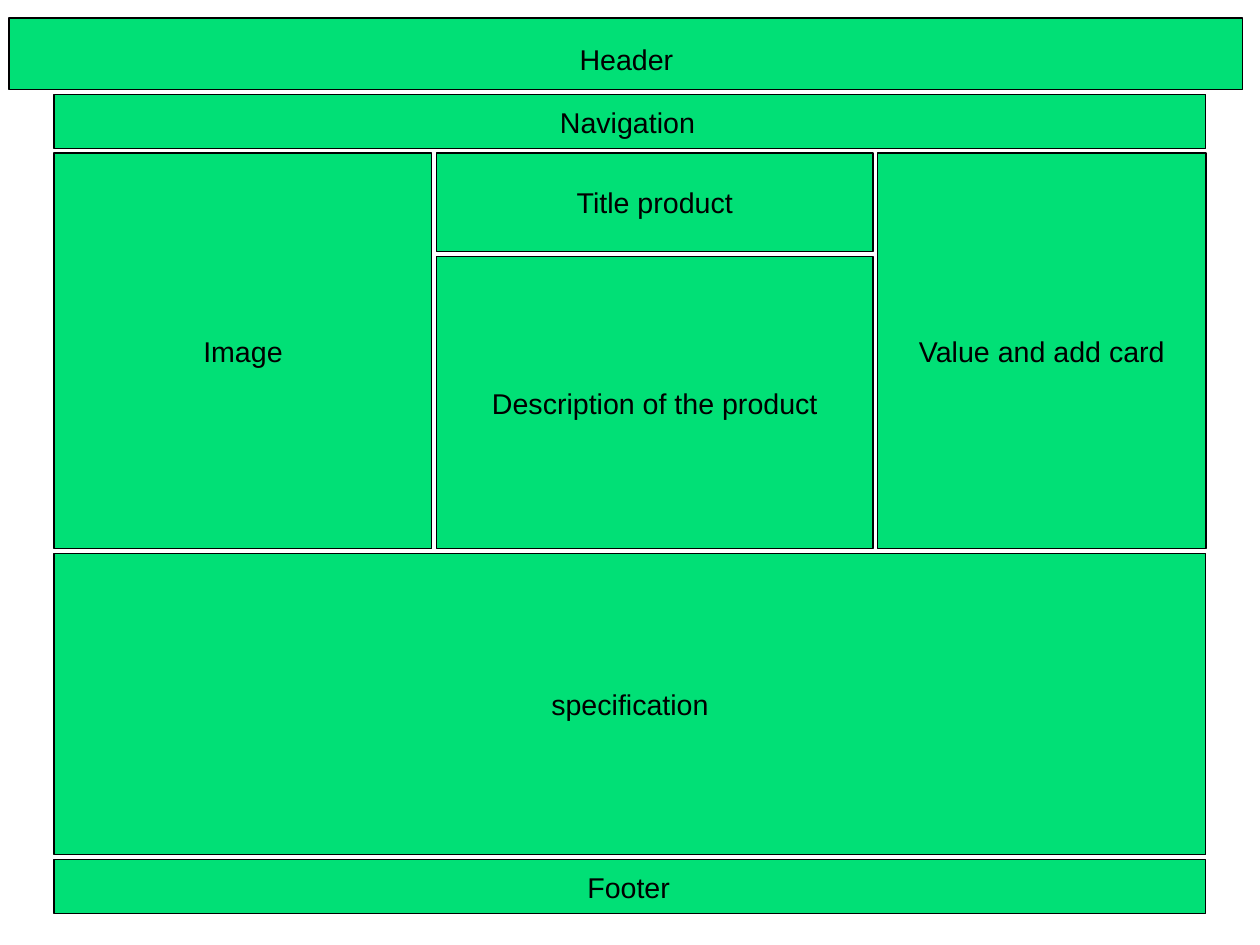
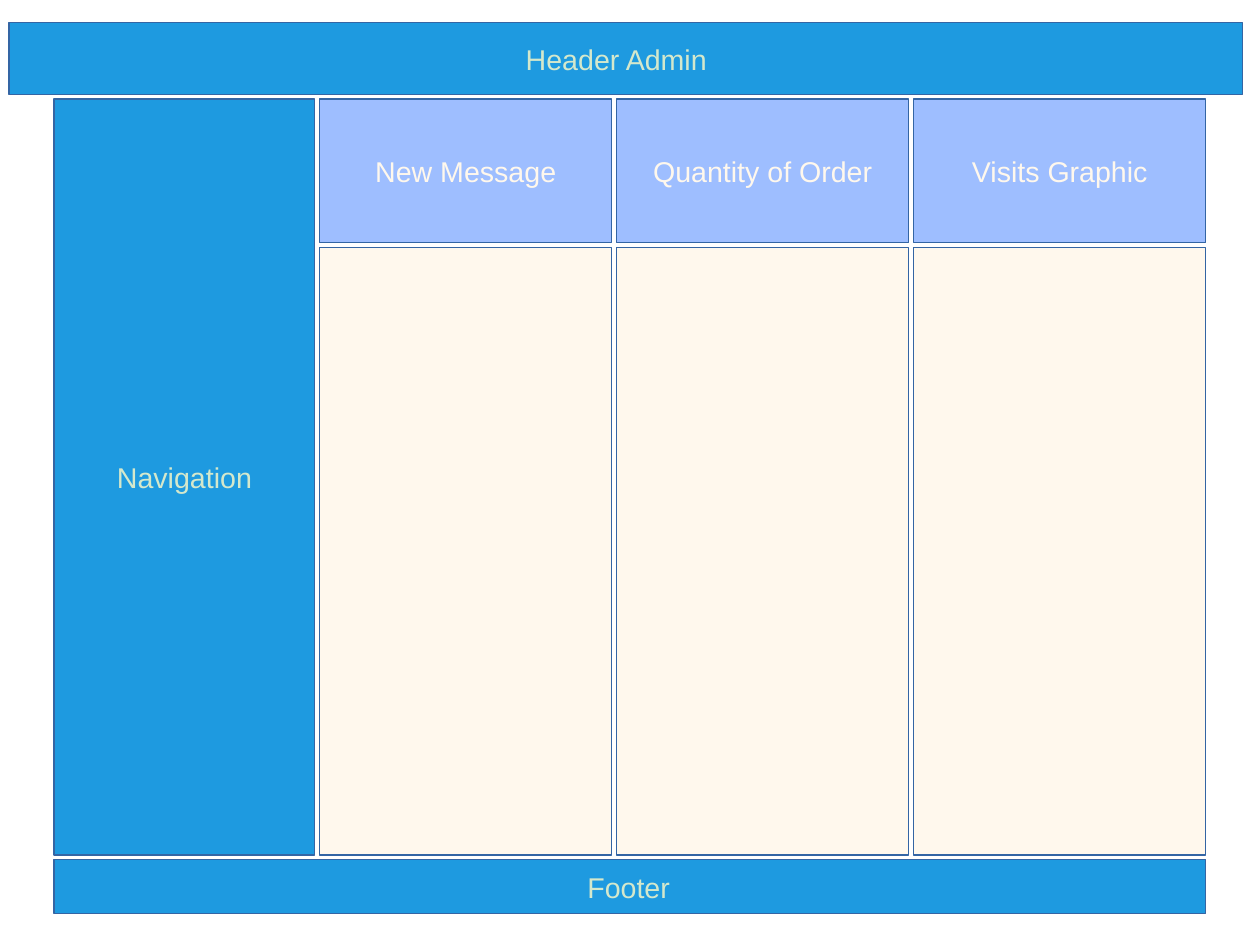
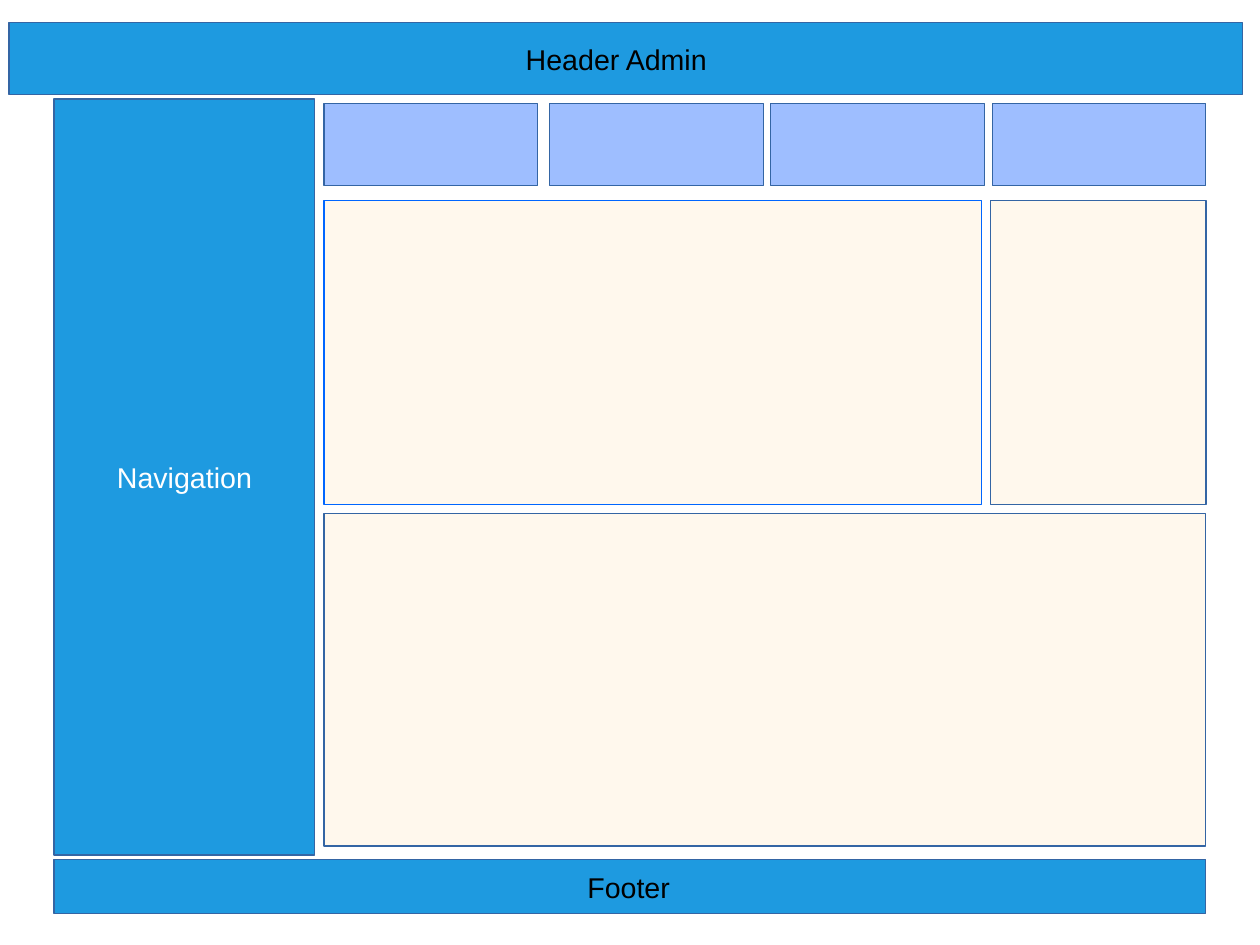
from typing import NamedTuple

import pptx
import pptx.dml.color
import pptx.enum.shapes
import pptx.enum.text
import pptx.util

Pt = pptx.util.Pt
COLORS = {
    "green": "01E076", "blue": "1E9AE0", "periwinkle": "9EBEFF", "cream": "FFF8ED",
    "black": "000000", "white": "FFFFFF", "mint": "D4E8CC",
    "outline": "3465A4", "bright outline": "0066FF",
}
FONT_NAME, FONT_SIZE = "Arial", 18
GAP = 2.83
WIDE_GAP = 5.67
LABEL_HEIGHT = 27.4


class Box(NamedTuple):
    """A rectangle in points."""
    left: float
    top: float
    width: float
    height: float

    @property
    def right(self):
        return self.left + self.width

    @property
    def bottom(self):
        return self.top + self.height


class Style(NamedTuple):
    """Colour names of a band or panel."""
    fill: str
    line: str = "outline"
    text: str = "black"


PAGE = Box(34.02, 59.53, 725.67, 515.9)
FOOTER = Box(PAGE.left, 541.42, PAGE.width, 34.02)
SHOP = Style("green", "black")
CARD = Style("periwinkle", text="cream")
PANEL = Style("cream")


def rgb(name):
    return pptx.dml.color.RGBColor.from_string(COLORS[name])


def place(shape, box):
    shape.left, shape.top, shape.width, shape.height = map(Pt, box)


def write(shape, text, color, alignment, anchor):
    frame = shape.text_frame
    frame.text = text
    frame.word_wrap = False
    frame.vertical_anchor = anchor
    frame.margin_left = frame.margin_right = Pt(7.2)
    frame.margin_top = frame.margin_bottom = Pt(3.6)
    paragraph = frame.paragraphs[0]
    paragraph.alignment = alignment
    paragraph.font.name = FONT_NAME
    paragraph.font.size = Pt(FONT_SIZE)
    paragraph.font.color.rgb = rgb(color)


def add_panel(slide, box, style, text=""):
    """Add a filled rectangle, with centred text if there is any."""
    panel = slide.shapes.add_shape(
        pptx.enum.shapes.MSO_SHAPE.RECTANGLE, *map(Pt, box))
    panel.shadow.inherit = False
    panel.fill.solid()
    panel.fill.fore_color.rgb = rgb(style.fill)
    panel.line.color.rgb = rgb(style.line)
    panel.line.width = Pt(0)
    if text:
        write(panel, text, style.text, pptx.enum.text.PP_ALIGN.CENTER,
              pptx.enum.text.MSO_ANCHOR.MIDDLE)
    return panel


def format_label(label, box, text, color):
    write(label, text, color, pptx.enum.text.PP_ALIGN.LEFT,
          pptx.enum.text.MSO_ANCHOR.TOP)
    label.text_frame.auto_size = pptx.enum.text.MSO_AUTO_SIZE.NONE
    place(label, box)


def add_header(slide, box, style, text, label_left, label_top, label_width):
    """Add the top band with the slide title in front of it."""
    band = add_panel(slide, box, style)
    title = slide.shapes.title
    band.element.addnext(title.element)
    label_box = Box(box.left + label_left, box.top + label_top,
                    label_width, LABEL_HEIGHT)
    format_label(title, label_box, text, style.text)


def add_band(slide, box, style, text, label_left, label_width):
    add_panel(slide, box, style)
    label_box = Box(box.left + label_left, box.top + 3.2, label_width, LABEL_HEIGHT)
    label = slide.shapes.add_textbox(*map(Pt, label_box))
    format_label(label, label_box, text, style.text)


def add_footer(slide, style):
    add_band(slide, FOOTER, style, "Footer", 328.9, 66.2)


def add_product(slide, box):
    """Add the image, title, description and value panels in three columns."""
    image = Box(box.left, box.top, 238.11, box.height)
    title = Box(image.right + GAP, box.top, 275, 62.36)
    description_top = title.bottom + GAP
    description = Box(title.left, description_top, title.width,
                      box.bottom - description_top)
    value_left = title.right + GAP
    value = Box(value_left, box.top, box.right - value_left, box.height)
    for panel_box, text in ((image, "Image"), (title, "Title product"),
                            (description, "Description of the product"),
                            (value, "Value and add card")):
        add_panel(slide, panel_box, SHOP, text)


def add_summary(slide, box):
    """Add equal columns, each a titled card above an empty panel."""
    titles = ("New Message", "Quantity of Order", "Visits Graphic")
    width = (box.width - GAP * (len(titles) - 1)) / len(titles)
    for index, text in enumerate(titles):
        card = Box(box.left + index * (width + GAP), box.top, width, 90.71)
        add_panel(slide, card, CARD, text)
        panel_top = card.bottom + GAP
        add_panel(slide, Box(card.left, panel_top, width, box.bottom - panel_top), PANEL)


def add_dashboard(slide, box):
    """Add four cards, a wide and a narrow panel, and a full-width panel."""
    card_width, card_pitch = 134.65, 139.4
    last_left = box.right - card_width
    card_lefts = [box.left] + [last_left - step * card_pitch for step in (2, 1, 0)]
    for left in card_lefts:
        add_panel(slide, Box(left, box.top, card_width, 52), CARD)

    wide = Box(box.left, box.top + 60.9, 414, 191.5)
    add_panel(slide, wide, Style("cream", "bright outline"))
    side_left = wide.right + WIDE_GAP
    add_panel(slide, Box(side_left, wide.top, box.right - side_left, wide.height), PANEL)
    bottom_top = wide.bottom + WIDE_GAP
    add_panel(slide, Box(box.left, bottom_top, box.width, box.bottom - bottom_top), PANEL)


def add_slide(presentation):
    return presentation.slides.add_slide(
        presentation.slide_layouts.get_by_name("Title Only"))


def build_shop_slide(presentation):
    slide = add_slide(presentation)
    add_header(slide, Box(5.67, 11.34, 777, 45.35), SHOP, "Header", 352.2, 11.6, 80)
    navigation = Box(PAGE.left, PAGE.top, PAGE.width, 34.02)
    add_band(slide, navigation, SHOP, "Navigation", 311.6, 99.4)
    add_footer(slide, SHOP)
    product = Box(PAGE.left, navigation.bottom + GAP, PAGE.width, 249.45)
    add_product(slide, product)
    specification_top = product.bottom + GAP
    add_panel(slide, Box(PAGE.left, specification_top, PAGE.width,
                         FOOTER.top - GAP - specification_top), SHOP, "specification")


def build_admin_slide(presentation, text_color, navigation_color, add_content, inset):
    """Build the admin frame; inset is the content's extra margin (side, top, bottom)."""
    slide = add_slide(presentation)
    style = Style("blue", text=text_color)
    header = Box(5.67, 14.17, 777, 45.35)
    add_header(slide, header, style, "Header Admin", 318.3, 8.75, 136)
    add_footer(slide, style)
    top = header.bottom + GAP
    navigation = Box(PAGE.left, top, 164.41, FOOTER.top - GAP - top)
    add_panel(slide, navigation, Style("blue", text=navigation_color), "Navigation")
    side, above, below = inset
    left = navigation.right + GAP + side
    add_content(slide, Box(left, top + above, PAGE.right - left,
                           navigation.height - above - below))


def main():
    presentation = pptx.Presentation()
    presentation.slide_width = Pt(793.7)
    presentation.slide_height = Pt(595.28)
    build_shop_slide(presentation)
    build_admin_slide(presentation, "mint", "mint", add_summary, (0, 0, 0))
    build_admin_slide(presentation, "black", "white", add_dashboard,
                      (GAP, GAP, WIDE_GAP))
    presentation.save("out.pptx")


if __name__ == "__main__":
    main()
